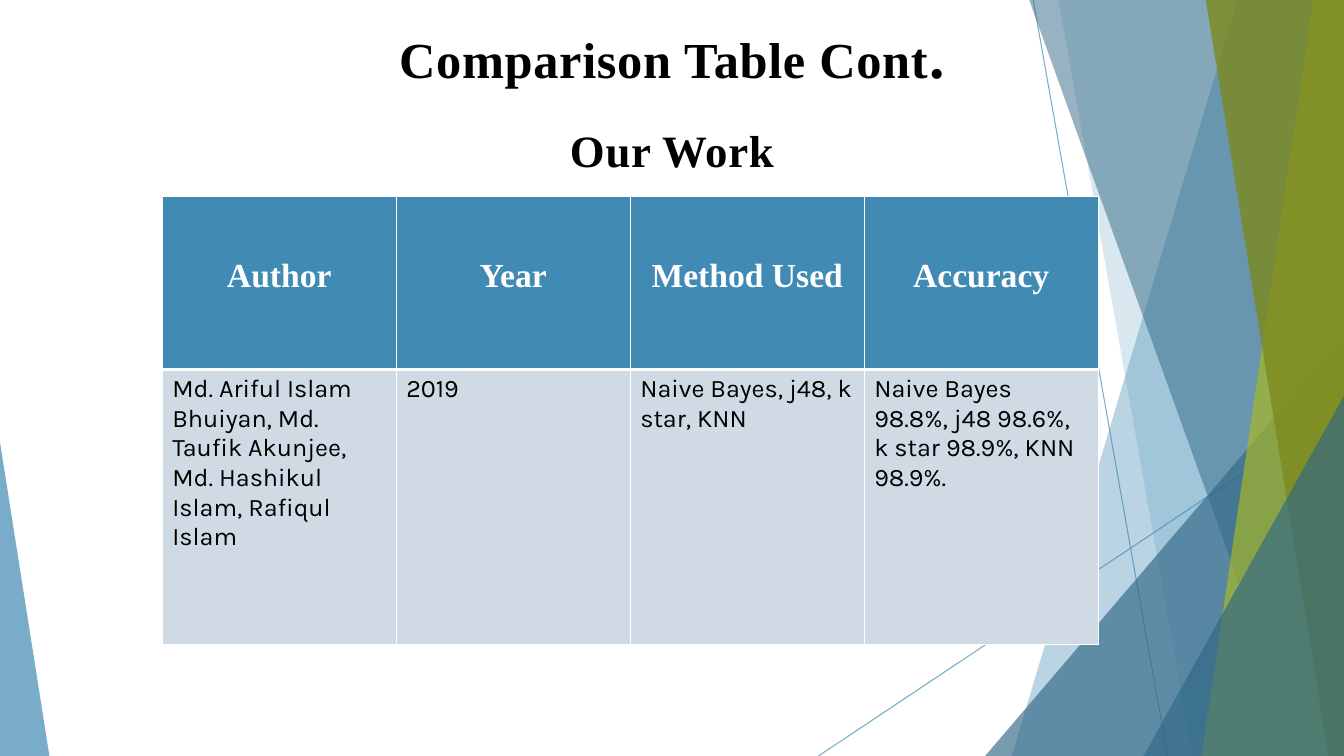
"""Build the "Comparison Table Cont." slide with its faceted side bands and results table."""
from lxml import etree
from pptx import Presentation
from pptx.dml.color import RGBColor
from pptx.enum.shapes import MSO_CONNECTOR, MSO_SHAPE
from pptx.enum.text import MSO_AUTO_SIZE, PP_ALIGN
from pptx.oxml.ns import qn
from pptx.util import Pt

STRAIGHT = MSO_CONNECTOR.STRAIGHT
TRIANGLE = MSO_SHAPE.ISOSCELES_TRIANGLE
GROW = MSO_AUTO_SIZE.SHAPE_TO_FIT_TEXT
LEFT, CENTER = PP_ALIGN.LEFT, PP_ALIGN.CENTER

WIDTH, HEIGHT = 960, 540
BAND_TOP = -0.6
SERIF, SANS = "Times New Roman", "Karla"
COLORS = {
    "blue": "418AB3", "navy": "316886", "lime": "A6B727", "olive": "7D891D",
    "pale": "CFDAE5", "white": "FFFFFF", "black": "000000",
}

HEADINGS = [
    (8.64, 60.48, [("Comparison Table Cont", 36), (".", 44)]),
    (84.24, 46.08, [("Our Work", 32)]),
]
TABLE_ROWS = [
    ["Author", "Year", "Method Used", "Accuracy"],
    [
        "Md. Ariful Islam Bhuiyan, Md. Taufik Akunjee, Md. Hashikul Islam, Rafiqul Islam",
        "2019",
        "Naive Bayes, j48, k star, KNN",
        "Naive Bayes 98.8%, j48 98.6%, k star 98.9%, KNN 98.9%.",
    ],
]
TABLE_LEFT, TABLE_TOP, COLUMN_WIDTH = 115.9, 140.4, 167.15
ROW_HEIGHTS = [123.6, 196.4]
ROW_STYLES = [
    {"fill": "blue", "borders": {"L": 1, "R": 1, "T": 1, "B": 3},
     "text": {"size": 24, "font": SERIF, "color": "white", "bold": True,
              "align": CENTER, "line_spacing": 2.5}},
    {"fill": "pale", "borders": {"L": 1, "R": 1, "T": 3, "B": 1},
     "text": {"size": 18, "font": SANS}},
]

THIN_LINES = [((738, 0), (834, HEIGHT)), ((WIDTH, 290), (584.6, HEIGHT))]
FACETS = [
    ("band", (884.2, 722.7), "blue", 36),
    ("band", (756, 851.8), "blue", 20),
    ("triangle", (703.7, 240, 256.3, 1), "navy", 66),
    ("band", (735, 929.5), "navy", 50),
    ("band", (938.2, 858.3), "lime", 70),
    ("band", (861.2, 949), "olive", 80),
    ("triangle", (816.7, 282.8, 143.3, 1), "navy", 66),
    ("triangle", (0, 316, 35.3, 0), "blue", 70),
]


def rgb(name):
    return RGBColor.from_string(COLORS[name])


def set_alpha(properties, percent):
    color = next(properties.iter(qn("a:srgbClr")))
    etree.SubElement(color, qn("a:alpha"), val=str(percent * 1000))


def write(para, text, size, font=SERIF, color="black", bold=False,
          align=LEFT, line_spacing=None, tracking=None):
    para.alignment = align
    if line_spacing:
        para.line_spacing = line_spacing
    span = para.add_run()
    span.text = text
    span.font.size = Pt(size)
    span.font.name = font
    span.font.bold = bold
    span.font.color.rgb = rgb(color)
    if tracking:
        span.font._element.set("spc", str(int(tracking * 100)))


def add_thin_line(slide, start, end):
    line = slide.shapes.add_connector(STRAIGHT, *map(Pt, start + end))
    line.line.color.rgb = rgb("blue")
    line.line.width = Pt(0.75)
    properties = line._element.spPr
    set_alpha(properties, 70)
    etree.SubElement(properties, qn("a:effectLst"))


def add_facet(slide, kind, geometry, color, alpha):
    if kind == "triangle":
        left, top, width, apex = geometry
        facet = slide.shapes.add_shape(
            TRIANGLE, Pt(left), Pt(top), Pt(width), Pt(HEIGHT - top))
        facet.adjustments[0] = apex
    else:
        top_left, bottom_left = geometry
        corners = [(WIDTH, BAND_TOP), (WIDTH, HEIGHT), (bottom_left, HEIGHT)]
        builder = slide.shapes.build_freeform(Pt(top_left), Pt(BAND_TOP))
        builder.add_line_segments([(Pt(x), Pt(y)) for x, y in corners], close=True)
        facet = builder.convert_to_shape()
    facet.shadow.inherit = False
    facet.line.fill.background()
    facet.fill.solid()
    facet.fill.fore_color.rgb = rgb(color)
    set_alpha(facet._element.spPr, alpha)


def add_heading(slide, top, height, spans):
    box = slide.shapes.add_textbox(0, Pt(top), Pt(WIDTH), Pt(height))
    box.text_frame.word_wrap = True
    box.text_frame.auto_size = GROW
    for text, size in spans:
        write(box.text_frame.paragraphs[0], text, size,
              bold=True, align=CENTER, tracking=0.5)


def set_borders(cell, widths):
    properties = cell._tc.get_or_add_tcPr()
    for index, (side, width) in enumerate(widths.items()):
        border = etree.Element(qn(f"a:ln{side}"), w=str(Pt(width)))
        fill = etree.SubElement(border, qn("a:solidFill"))
        etree.SubElement(fill, qn("a:srgbClr"), val=COLORS["white"])
        properties.insert(index, border)


def add_results_table(slide):
    columns = len(TABLE_ROWS[0])
    table = slide.shapes.add_table(
        len(TABLE_ROWS), columns, Pt(TABLE_LEFT), Pt(TABLE_TOP),
        Pt(COLUMN_WIDTH * columns), Pt(sum(ROW_HEIGHTS))).table
    table.horz_banding = False
    for column in table.columns:
        column.width = Pt(COLUMN_WIDTH)
    for row, height, texts, style in zip(table.rows, ROW_HEIGHTS, TABLE_ROWS, ROW_STYLES):
        row.height = Pt(height)
        for cell, text in zip(row.cells, texts):
            cell.fill.solid()
            cell.fill.fore_color.rgb = rgb(style["fill"])
            set_borders(cell, style["borders"])
            write(cell.text_frame.paragraphs[0], text, **style["text"])


def main():
    deck = Presentation()
    deck.slide_width, deck.slide_height = Pt(WIDTH), Pt(HEIGHT)
    slide = deck.slides.add_slide(deck.slide_layouts[6])
    for start, end in THIN_LINES:
        add_thin_line(slide, start, end)
    for facet in FACETS:
        add_facet(slide, *facet)
    for heading in HEADINGS:
        add_heading(slide, *heading)
    add_results_table(slide)
    deck.save("out.pptx")


if __name__ == "__main__":
    main()
